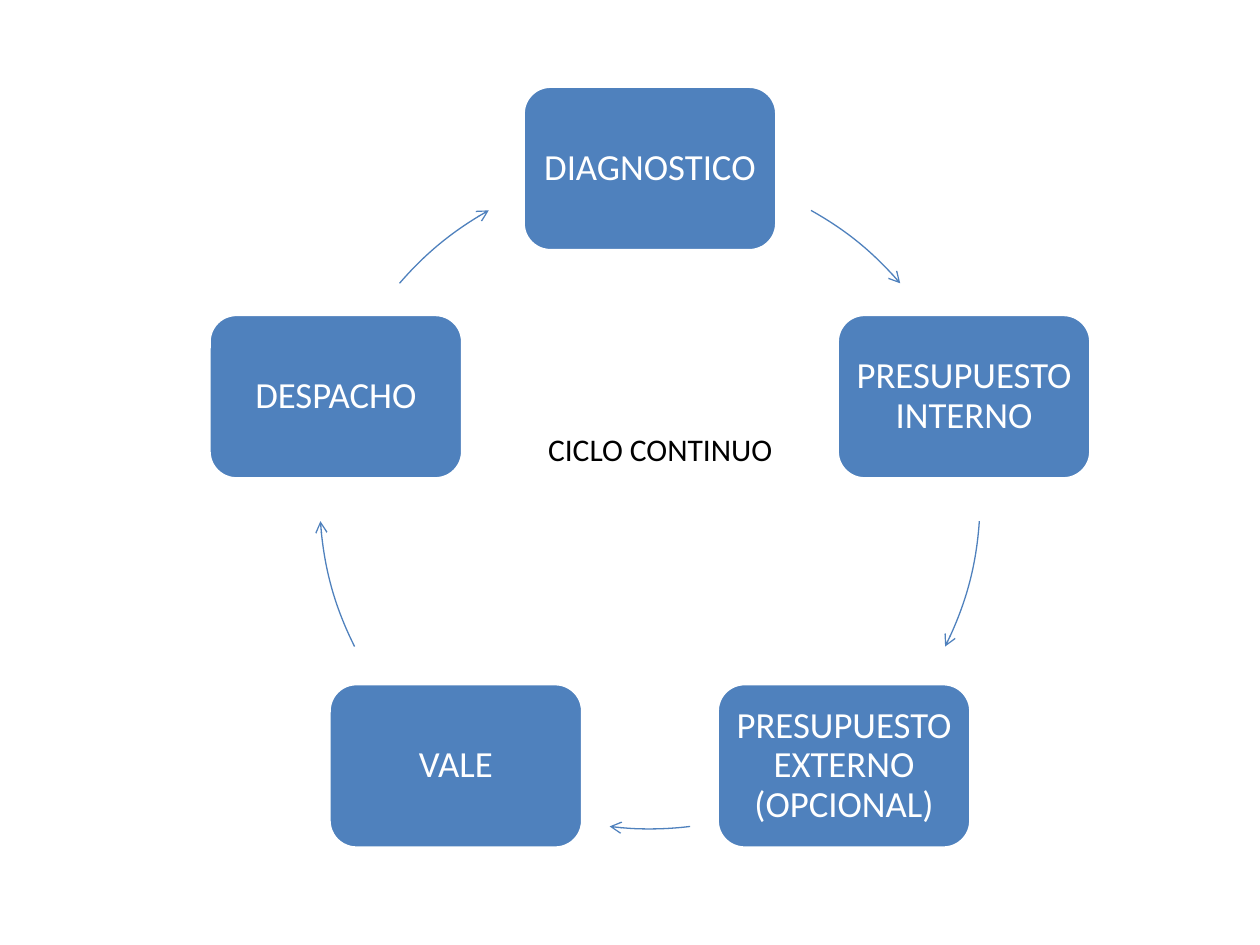
from math import cos, radians, sin

from lxml.etree import SubElement
from pptx import Presentation
from pptx.dml.color import RGBColor as Rgb
from pptx.enum.shapes import MSO_SHAPE as Kind
from pptx.enum.text import MSO_ANCHOR as Anchor, PP_ALIGN as Align
from pptx.oxml.ns import qn
from pptx.util import Pt

HUES = {"blue": "4F81BD", "white": "FFFFFF", "black": "000000"}


class Deck:
    face = "Calibri"

    def __init__(self, wide, high):
        self.file = Presentation()
        self.file.slide_width, self.file.slide_height = Pt(wide), Pt(high)
        self.slide = self.file.slides.add_slide(self.file.slide_layouts[6])

    def hue(self, name):
        return Rgb.from_string(HUES[name])

    def words(self, frame, text, size, color, inset, lead):
        look = {"word_wrap": True, "vertical_anchor": Anchor.MIDDLE,
                "margin_left": Pt(inset), "margin_right": Pt(inset)}
        for key, value in look.items():
            setattr(frame, key, value)
        line = frame.paragraphs[0]
        line.alignment, line.line_spacing = Align.CENTER, lead
        run = line.add_run()
        run.text = text
        for key, value in {"name": self.face, "size": Pt(size)}.items():
            setattr(run.font, key, value)
        run.font.color.rgb = self.hue(color)

    def shape(self, kind, mid, size, line, weight):
        (x, y), (w, h) = mid, size
        item = self.slide.shapes.add_shape(
            kind, Pt(x - w / 2), Pt(y - h / 2), Pt(w), Pt(h))
        item.shadow.inherit = False
        item.line.color.rgb = self.hue(line)
        item.line.width = Pt(weight)
        return item

    def box(self, text, mid, size):
        item = self.shape(Kind.ROUNDED_RECTANGLE, mid, size, "white", 2)
        item.fill.solid()
        item.fill.fore_color.rgb = self.hue("blue")
        self.words(item.text_frame, text, 21, "white", 2, 0.9)

    def arc(self, mid, radius, start, end):
        item = self.shape(Kind.ARC, mid, (2 * radius, 2 * radius), "blue", 0.75)
        item.fill.background()
        for i, angle in enumerate((start, end)):
            item.adjustments[i] = angle % 360 * 0.6
        line = item.element.spPr.find(qn("a:ln"))
        SubElement(line, qn("a:tailEnd"), type="arrow")

    def label(self, text, x, y, w, h):
        item = self.slide.shapes.add_textbox(Pt(x), Pt(y), Pt(w), Pt(h))
        self.words(item.text_frame, text, 18, "black", 7.2, 1)


deck = Deck(720, 540)
hub, radius = (371.4, 285), 188.7
steps = ["DIAGNOSTICO", "PRESUPUESTO INTERNO",
         "PRESUPUESTO EXTERNO (OPCIONAL)", "VALE", "DESPACHO"]
arcs = [(-60.8, -40.7), (3.9, 26.6), (83, 97), (153.4, 176.1), (220.7, 240.8)]

for i, (step, (start, end)) in enumerate(zip(steps, arcs)):
    turn = radians(72 * i - 90)
    mid = (hub[0] + radius * cos(turn), hub[1] + radius * sin(turn))
    deck.box(step, mid, (145, 94))
    deck.arc(hub, radius, start, end)

deck.label("CICLO CONTINUO", 280.8, 242, 193, 29)
deck.file.save("out.pptx")
